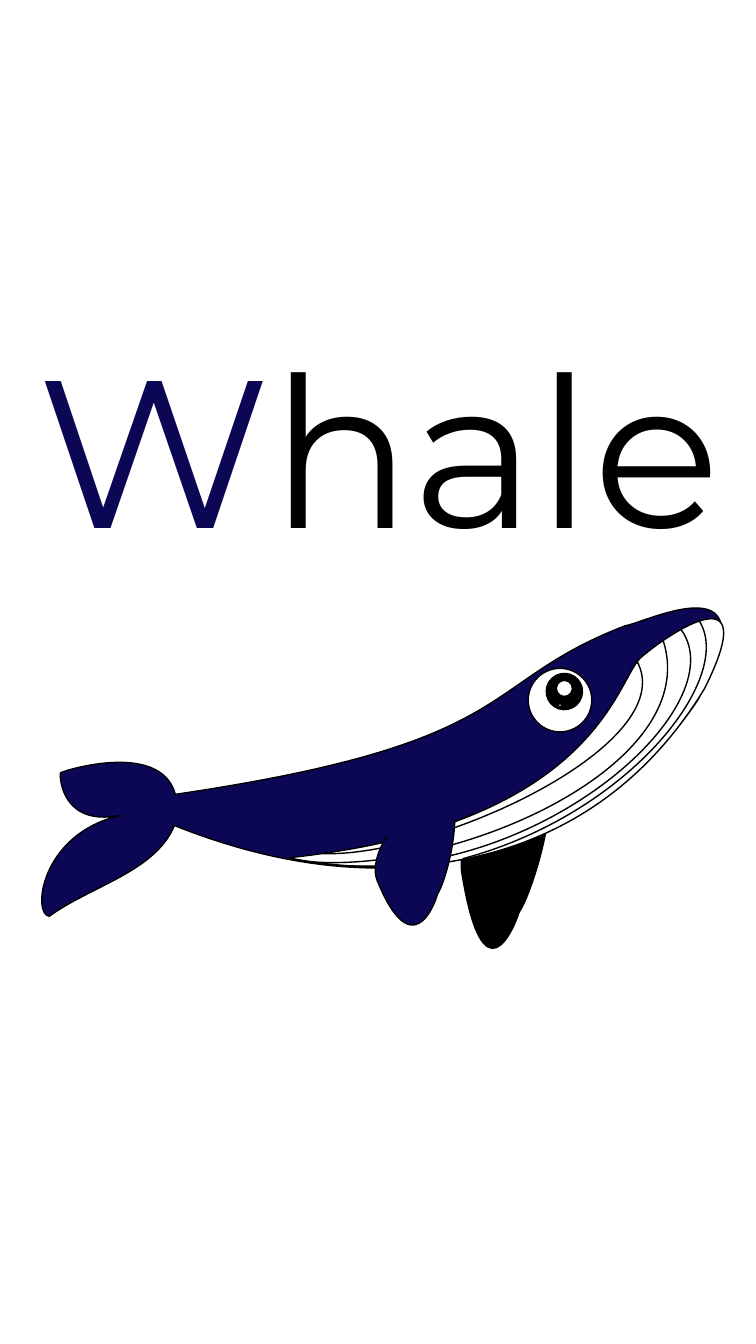
from dataclasses import dataclass
from math import cos, radians, sin

from lxml import etree
from pptx import Presentation
from pptx.dml.color import RGBColor
from pptx.enum.shapes import MSO_SHAPE
from pptx.enum.text import MSO_ANCHOR, MSO_AUTO_SIZE, PP_ALIGN
from pptx.oxml.ns import qn
from pptx.util import Pt

OVAL = MSO_SHAPE.OVAL
TOP = MSO_ANCHOR.TOP
GROW = MSO_AUTO_SIZE.SHAPE_TO_FIT_TEXT
LEFT = PP_ALIGN.LEFT


@dataclass(frozen=True)
class Theme:
    navy: RGBColor = RGBColor(0x0B, 0x07, 0x54)
    black: RGBColor = RGBColor(0, 0, 0)
    white: RGBColor = RGBColor(255, 255, 255)
    font: str = "Montserrat"
    title_size: float = 150
    line_width: float = 1


@dataclass(frozen=True)
class Outline:
    box: tuple
    rotation: float
    start: tuple
    curves: list


THEME = Theme()
SLIDE_SIZE = (540, 960)
TITLE_BOX = (19.44, 223.92, 570.24, 189.36)
TITLE_RUNS = [("W", THEME.navy), ("hale", THEME.black)]
TILT = 332.8

BACK_FLIPPER = Outline((276.48, 555.84, 169.92, 69.84), 263.7, (346.3, 539.3), [
    [(342.7, 554.4), (344.2, 567.4), (340.6, 582.5)],
    [(331.9, 596.2), (328.3, 611.3), (329.8, 622.8)],
    [(344.9, 717.1), (367.2, 663.1), (370.8, 651.6)],
    [(380.9, 637.2), (406.1, 555.1), (385.2, 535.7)],
    [(385.9, 510.5), (385.9, 503.3), (378.7, 503.3)],
])
BODY = Outline((8.64, 447.12, 524.88, 195.12), TILT, (446.4, 447.1), [
    [(339.8, 488.2), (375.1, 530.6), (125.3, 567.4)],
    [(114.5, 527.8), (41.8, 551.5), (43.2, 552.2)],
    [(42.5, 555.8), (44.6, 590.4), (85.7, 582.5)],
    [(28.1, 596.2), (23, 653.8), (35.3, 654.5)],
    [(64.8, 632.9), (110.9, 622.8), (124.6, 589.7)],
    [(363.6, 684.7), (479.5, 528.5), (498.2, 500.4)],
    [(553, 398.2), (463, 444.2), (446.4, 447.1)],
])
BELLY = Outline((198, 512.64, 352.08, 85.68), TILT, (457.2, 470.2), [
    [(439.9, 487.4), (424.1, 589.7), (205.9, 612.7)],
    [(275, 626.4), (418.3, 631.4), (503.3, 491.8)],
    [(545, 408.2), (479.5, 450.7), (457.2, 470.2)],
])
GROOVES = [
    Outline((218.88, 529.2, 262.08, 50.4), TILT, (455, 472.3),
            [[(487.4, 531.4), (313.2, 612), (231.1, 609.8)]]),
    Outline((199.44, 524.16, 306, 67.68), TILT, (473.8, 457.9),
            [[(503.3, 549.4), (314.6, 630), (209.5, 614.2)]]),
    Outline((233.28, 511.2, 287.28, 76.32), TILT, (486.7, 450),
            [[(524.9, 503.3), (391.7, 624.2), (250.6, 618.5)]]),
    Outline((302.4, 490.32, 228.24, 81.36), TILT, (499, 442.8),
            [[(526.3, 483.1), (449.3, 581.8), (330.5, 613.4)]]),
]
FRONT_FLIPPER = Outline((238.32, 564.48, 116.64, 69.84), 251.8, (275.8, 568.1), [
    [(274.3, 578.9), (276.5, 587.5), (275.8, 598.3)],
    [(268.6, 609.8), (266.4, 621.4), (269.3, 628.6)],
    [(293.8, 689), (310.3, 647.3), (312.5, 638.6)],
    [(320.4, 626.4), (335.5, 564.5), (313.2, 555.8)],
    [(311.8, 539.3), (310.3, 533.5), (303.8, 535.7)],
])
EYE = (377.3, 477.4, 45.4, 45.4)
SHOULDER = (250.6, 533.5, 100.8, 60.5)
SHOULDER_TILT = 337.5
PUPIL_PARTS = [
    ((390.2, 481, 25.9, 25.9), THEME.black),
    ((397.4, 486, 11.5, 11.5), THEME.white),
    ((398.9, 502.6, 2.2, 2.2), THEME.white),
]


def paint(shape, fill, outlined=True):
    shape.shadow.inherit = False
    if fill is None:
        shape.fill.background()
    else:
        shape.fill.solid()
        shape.fill.fore_color.rgb = fill
    if outlined:
        shape.line.color.rgb = THEME.black
        shape.line.width = Pt(THEME.line_width)
    else:
        shape.line.fill.background()


def place(shape, box, rotation):
    shape.left, shape.top, shape.width, shape.height = map(Pt, box)
    shape.rotation = rotation


def unrotate(point, box, rotation):
    left, top, width, height = box
    center_x, center_y = left + width / 2, top + height / 2
    across, down = point[0] - center_x, point[1] - center_y
    angle = radians(rotation)
    return (
        Pt(center_x + across * cos(angle) + down * sin(angle)),
        Pt(center_y - across * sin(angle) + down * cos(angle)),
    )


def bend(shape, box):
    geometry = shape.element.xpath(".//a:path")[0]
    offset = {"x": shape.left - Pt(box[0]), "y": shape.top - Pt(box[1])}
    for point in geometry.iter(qn("a:pt")):
        for axis, shift in offset.items():
            point.set(axis, str(int(point.get(axis)) + shift))
    geometry.set("w", str(Pt(box[2])))
    geometry.set("h", str(Pt(box[3])))
    segments = geometry.findall(qn("a:lnTo"))
    for index in range(0, len(segments), 3):
        curve = etree.Element(qn("a:cubicBezTo"))
        segments[index].addprevious(curve)
        for segment in segments[index:index + 3]:
            curve.append(segment[0])
            geometry.remove(segment)


def add_outline(shapes, outline, fill=None):
    box, rotation = outline.box, outline.rotation
    builder = shapes.build_freeform(*unrotate(outline.start, box, rotation))
    vertices = [
        unrotate(point, box, rotation) for curve in outline.curves for point in curve
    ]
    builder.add_line_segments(vertices, close=False)
    shape = builder.convert_to_shape()
    bend(shape, box)
    if fill is not None:
        etree.SubElement(shape.element.xpath(".//a:path")[0], qn("a:close"))
    place(shape, box, rotation)
    paint(shape, fill)


def add_oval(shapes, box, fill, rotation=TILT, outlined=True):
    shape = shapes.add_shape(OVAL, *map(Pt, box))
    shape.rotation = rotation
    paint(shape, fill, outlined)


def add_title(slide):
    title = slide.shapes.title
    place(title, TITLE_BOX, 0)
    frame = title.text_frame
    frame.word_wrap = True
    frame.vertical_anchor = TOP
    frame.auto_size = GROW
    paragraph = frame.paragraphs[0]
    paragraph.alignment = LEFT
    paragraph.font.name = THEME.font
    paragraph.font.size = Pt(THEME.title_size)
    for text, color in TITLE_RUNS:
        run = paragraph.add_run()
        run.text = text
        run.font.color.rgb = color


def add_whale(slide):
    shapes = slide.shapes.add_group_shape().shapes
    add_outline(shapes, BACK_FLIPPER, THEME.black)
    add_outline(shapes, BODY, THEME.navy)
    add_outline(shapes, BELLY, THEME.white)
    for groove in GROOVES:
        add_outline(shapes, groove)
    add_oval(shapes, EYE, THEME.white)
    add_outline(shapes, FRONT_FLIPPER, THEME.navy)
    add_oval(shapes, SHOULDER, THEME.navy, SHOULDER_TILT, outlined=False)
    for box, fill in PUPIL_PARTS:
        add_oval(shapes, box, fill)


def main():
    presentation = Presentation()
    presentation.slide_width, presentation.slide_height = map(Pt, SLIDE_SIZE)
    slide = presentation.slides.add_slide(presentation.slide_layouts[5])
    add_title(slide)
    add_whale(slide)
    presentation.save("out.pptx")


if __name__ == "__main__":
    main()
